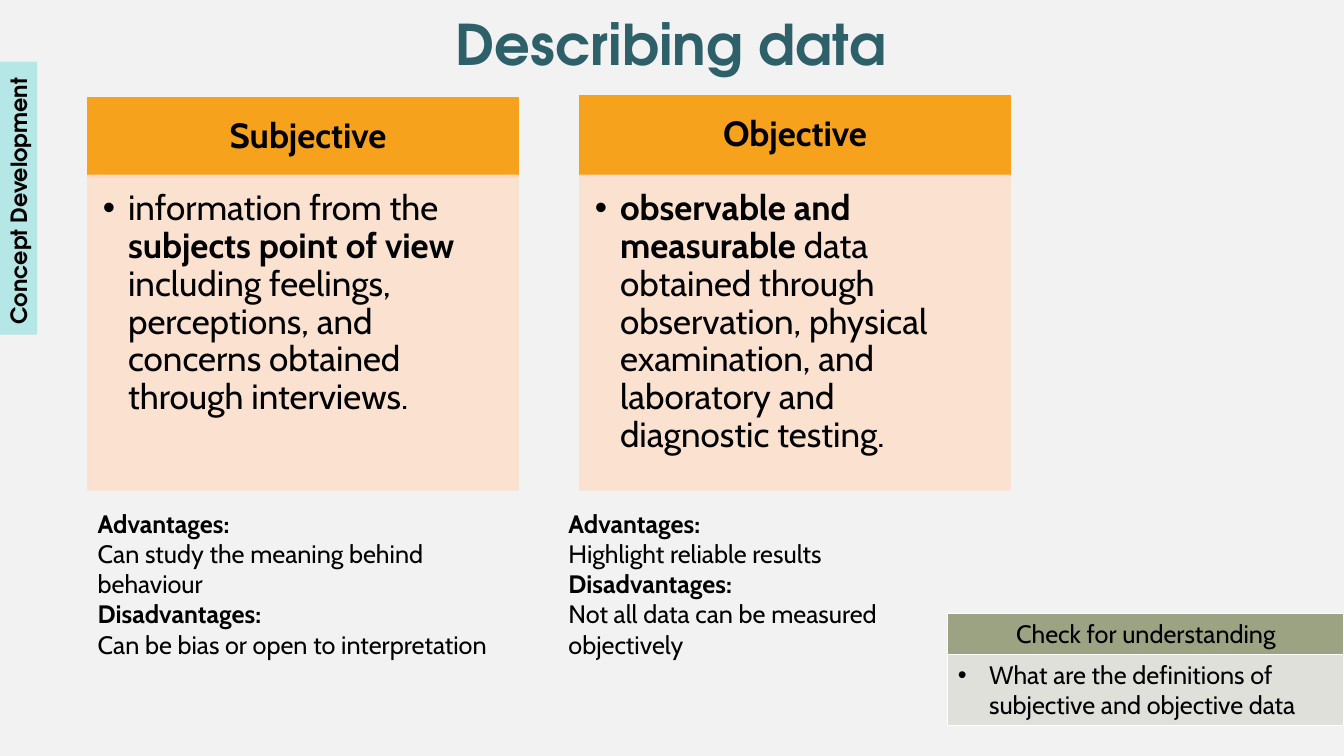
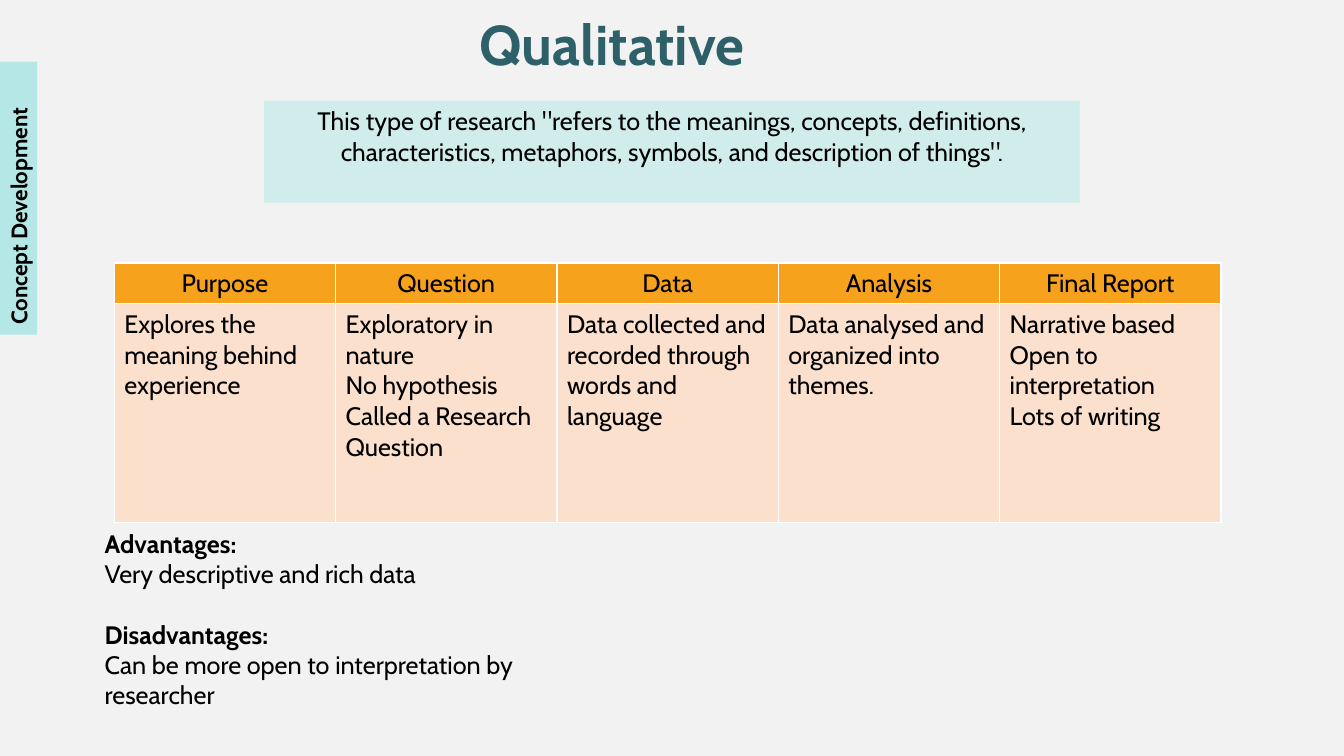
"""Build two slides on describing data and qualitative research."""
from lxml.etree import SubElement
from pptx import Presentation
from pptx.dml.color import RGBColor
from pptx.enum.shapes import MSO_SHAPE
from pptx.enum.text import MSO_ANCHOR, PP_ALIGN
from pptx.oxml.ns import qn
from pptx.util import Inches, Pt

HUE = {"page": "F2F2F2", "ink": "000000", "title": "2D6069", "aqua": "B4E7E6",
       "gold": "F6A21D", "peach": "FBE0CD", "moss": "9CA383", "sage": "DEE0D9",
       "white": "FFFFFF"}
CABIN, GYRE = "Cabin", "TeX Gyre Adventor"

deck = Presentation()
deck.slide_width, deck.slide_height = Inches(13.33), Inches(7.5)
COL, ROW = deck.slide_width / 100, deck.slide_height / 100


def write(frame, paras, size=18, face=CABIN, hue="ink", bold=False, align=PP_ALIGN.LEFT,
          anchor=MSO_ANCHOR.TOP, hang=0, lead=None, gap=0, inset=(0.1, 0.05, 0.1, 0.05)):
    """Fill a frame; a paragraph is a string or a list of (text, bold) runs."""
    frame.word_wrap = True
    frame.vertical_anchor = anchor
    frame.margin_left, frame.margin_top, frame.margin_right, frame.margin_bottom = map(Inches, inset)
    for n, runs in enumerate(paras):
        para = frame.add_paragraph() if n else frame.paragraphs[0]
        para.alignment = align
        if lead:
            para.line_spacing = lead
        if gap and n == 2:
            para.space_before = Pt(gap)
        if hang:
            props = para._p.get_or_add_pPr()
            props.set("marL", str(Inches(hang)))
            props.set("indent", str(-Inches(hang)))
            SubElement(props, qn("a:buFont"), typeface="Arial")
            SubElement(props, qn("a:buChar"), char="•")
        for text, heavy in [(runs, bold)] if isinstance(runs, str) else runs:
            run = para.add_run()
            run.text = text
            run.font.size, run.font.name, run.font.bold = Pt(size), face, heavy
            run.font.color.rgb = RGBColor.from_string(HUE[hue])


def block(page, spot, paras, fill=None, alpha=100, edge=False, turn=0, **form):
    """Place text at a spot given in columns and rows, on a filled box if asked."""
    x, y, w, h = spot
    place = [int(n) for n in (x * COL, y * ROW, w * COL, h * ROW)]
    if fill:
        shape = page.shapes.add_shape(MSO_SHAPE.RECTANGLE, *place)
        shape.shadow.inherit = False
        shape.fill.solid()
        shape.fill.fore_color.rgb = RGBColor.from_string(HUE[fill])
        if edge:
            shape.line.color.rgb = RGBColor.from_string(HUE[fill])
            shape.line.width = Pt(1)
        else:
            shape.line.fill.background()
        if alpha < 100:
            for tint in shape._element.spPr.iter(qn("a:srgbClr")):
                SubElement(tint, qn("a:alpha"), val=str(alpha * 1000))
    else:
        shape = page.shapes.add_textbox(*place)
    shape.rotation = turn
    write(shape.text_frame, paras, **form)


pages = []
for title, left, face in [("Describing data", 33.16, GYRE), ("Qualitative", 34.96, CABIN)]:
    page = deck.slides.add_slide(deck.slide_layouts[6])
    page.background.fill.solid()
    page.background.fill.fore_color.rgb = RGBColor.from_string(HUE["page"])
    block(page, (-8.78, 23.73, 20.33, 4.93), ["Concept Development"], fill="aqua",
          turn=270, size=16, face=face, bold=True)
    block(page, (left, 0.67, 35.6, 10.27), [title], size=40, face=face, hue="title", bold=True)
    pages.append(page)
first, second = pages

cards = [
    (6.53, 12.93, 0.29, "Subjective",
     [("information from the ", False), ("subjects point of view ", True),
      ("including feelings, perceptions, and concerns obtained through interviews.", False)]),
    (43.14, 12.67, 0.19, "Objective",
     [("observable and measurable ", True),
      ("data obtained through observation, physical examination, "
       "and laboratory and diagnostic testing.", False)]),
]
for left, top, pad, head, body in cards:
    block(first, (left, top, 32.03, 10.53), [head], fill="gold", edge=True, size=25, bold=True,
          align=PP_ALIGN.CENTER, anchor=MSO_ANCHOR.MIDDLE, lead=0.9, inset=(pad, 0.11, 0.19, 0.11))
    block(first, (left, 23.2, 32.03, 41.6), [body], fill="peach", alpha=90, edge=True, size=25,
          hang=0.25, lead=0.9, inset=(0.15, 0.15, 0.19, 0.22))

block(second, (19.65, 13.33, 60.69, 13.47),
      ['This type of research "refers to the meanings, concepts, definitions, '
       'characteristics, metaphors, symbols, and description of things".'],
      fill="aqua", alpha=54, align=PP_ALIGN.CENTER)

notes = [
    (first, (6.53, 66.53, 32.71, 25.6), 0,
     "Can study the meaning behind behaviour", "Can be bias or open to interpretation"),
    (first, (41.56, 66.53, 32.71, 21.6), 0,
     "Highlight reliable results", "Not all data can be measured objectively"),
    (second, (7.05, 69.2, 39.53, 25.6), 21.6,
     "Very descriptive and rich data", "Can be more open to interpretation by researcher"),
]
for page, spot, gap, pro, con in notes:
    block(page, spot, [[("Advantages:", True)], pro, [("Disadvantages:", True)], con], gap=gap)

tables = [
    (first, (70.52, 81.2, 29.48), (5.4, 9.2), ("moss", "sage"), 0.31,
     {"Check for understanding": ["What are the definitions of subjective and objective data"]}),
    (second, (8.5, 34.8, 82.35), (5.4, 28.93), ("gold", "peach"), 0,
     {"Purpose": ["Explores the meaning behind experience"],
      "Question": ["Exploratory in nature", "No hypothesis", "Called a Research Question"],
      "Data": ["Data collected and recorded through words and language"],
      "Analysis": ["Data analysed and organized into themes."],
      "Final Report": ["Narrative based", "Open to interpretation", "Lots of writing"]}),
]
for page, (x, y, w), highs, fills, hang, data in tables:
    place = [int(n) for n in (x * COL, y * ROW, w * COL, sum(highs) * ROW)]
    table = page.shapes.add_table(2, len(data), *place).table
    for row, high in zip(table.rows, highs):
        row.height = int(high * ROW)
    for c, (head, body) in enumerate(data.items()):
        for r, paras in enumerate([[head], body]):
            cell = table.cell(r, c)
            props = cell._tc.get_or_add_tcPr()
            for side in "LRTB":
                line = SubElement(props, qn("a:ln" + side), w=str(Pt(1)))
                SubElement(SubElement(line, qn("a:solidFill")), qn("a:srgbClr"), val=HUE["white"])
            cell.fill.solid()
            cell.fill.fore_color.rgb = RGBColor.from_string(HUE[fills[r]])
            write(cell.text_frame, paras, hang=hang if r else 0,
                  align=PP_ALIGN.LEFT if r else PP_ALIGN.CENTER)

deck.save("out.pptx")
